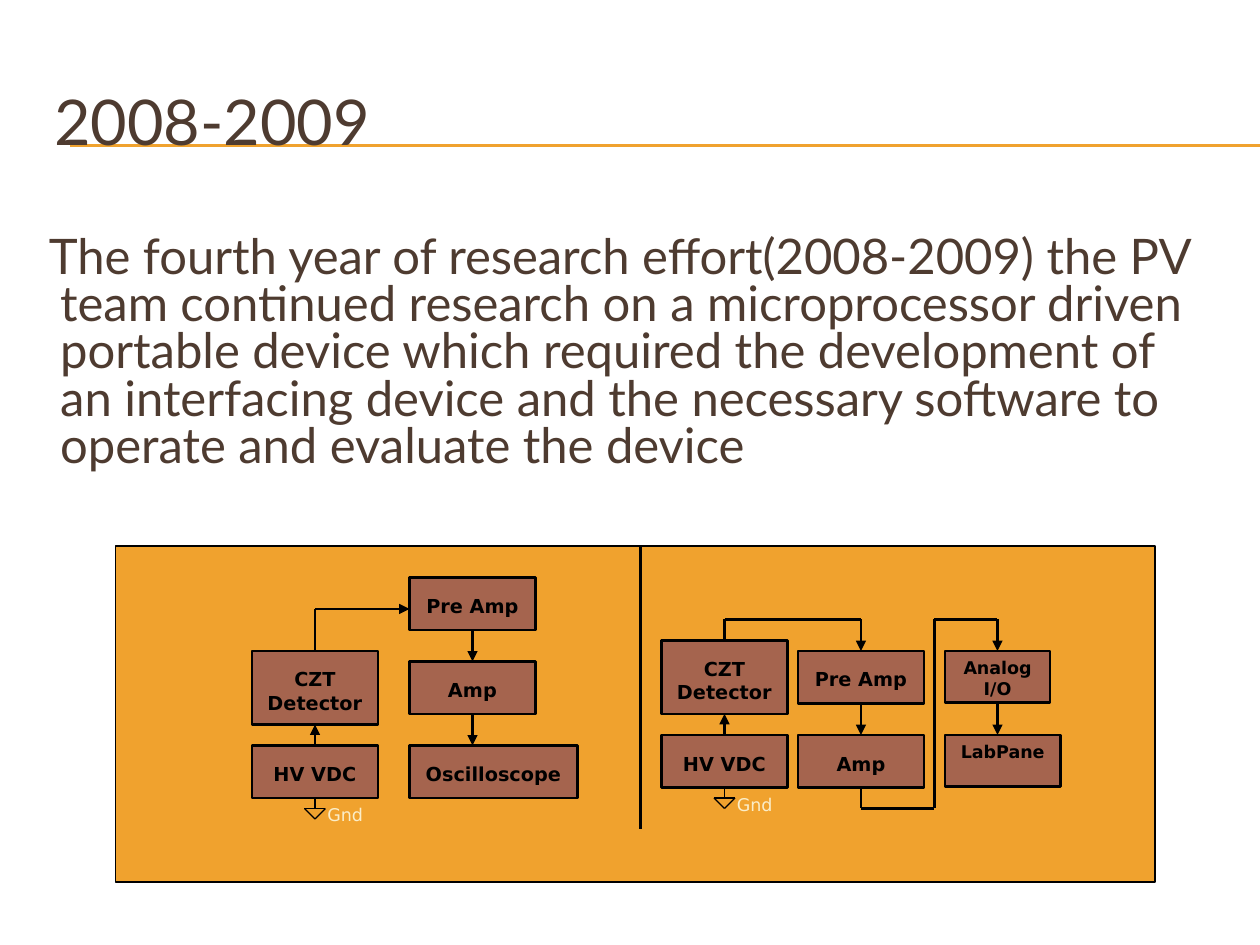
from dataclasses import dataclass
from itertools import pairwise

from lxml import etree
from pptx import Presentation
from pptx.dml.color import RGBColor
from pptx.enum.shapes import MSO_CONNECTOR, MSO_SHAPE
from pptx.enum.text import MSO_ANCHOR, PP_ALIGN
from pptx.oxml.ns import qn
from pptx.util import Inches, Pt

RECT = MSO_SHAPE.RECTANGLE
LINE = MSO_CONNECTOR.STRAIGHT
TOP, MIDDLE = MSO_ANCHOR.TOP, MSO_ANCHOR.MIDDLE
LEFT, CENTER = PP_ALIGN.LEFT, PP_ALIGN.CENTER
COLS, ROWS = 120, 90
WIDE, HIGH = Inches(10), Inches(7.5)


@dataclass(frozen=True)
class Theme:
    gold: str = "F0A22E"
    brick: str = "A5644E"
    brown: str = "4E3B30"
    cream: str = "FBEEC9"
    black: str = "000000"
    main: str = "Lato"
    label: str = "DejaVu Sans"
    title: int = 36
    body: int = 28
    block: int = 11
    small: int = 10
    thin: float = 0.75
    thick: float = 1.5


THEME = Theme()


def col(x):
    return round(WIDE * x / COLS)


def row(y):
    return round(HIGH * y / ROWS)


def place(x, y, w, h):
    return col(x), row(y), col(w), row(h)


def write(frame, text, size, font, tint, bold=False, align=LEFT, anchor=TOP):
    frame.word_wrap = True
    frame.vertical_anchor = anchor
    para = frame.paragraphs[0]
    para.alignment = align
    run = para.add_run()
    run.text = text
    run.font.size = Pt(size)
    run.font.name = font
    run.font.bold = bold
    run.font.color.rgb = RGBColor.from_string(tint)
    return para


def add_box(slide, box, fill, width):
    shape = slide.shapes.add_shape(RECT, *place(*box))
    shape.shadow.inherit = False
    shape.fill.solid()
    shape.fill.fore_color.rgb = RGBColor.from_string(fill)
    shape.line.color.rgb = RGBColor.from_string(THEME.black)
    shape.line.width = Pt(width)
    return shape


def add_wire(slide, points, width=THEME.thick, tint=THEME.black, arrow=False):
    for (x1, y1), (x2, y2) in pairwise(points):
        wire = slide.shapes.add_connector(LINE, col(x1), row(y1), col(x2), row(y2))
        wire.line.color.rgb = RGBColor.from_string(tint)
        wire.line.width = Pt(width)
        etree.SubElement(wire._element.spPr, qn("a:effectLst"))
    if arrow:
        etree.SubElement(wire.line._get_or_add_ln(), qn("a:tailEnd"), type="triangle")


def add_block(slide, box, text, size=THEME.block, drop=1):
    frame = add_box(slide, box, THEME.brick, THEME.thick).text_frame
    frame.margin_top = Inches(0.05) + row(drop)
    frame.margin_bottom = 0
    write(frame, text, size, THEME.label, THEME.black, True, CENTER)


def add_ground(slide, x, y):
    tip = (x, y + 2)
    add_wire(slide, [(x, y), (x, y + 1)], THEME.thin)
    add_wire(slide, [tip, (x - 1, y + 1), (x + 1, y + 1), tip], THEME.thin)
    note = slide.shapes.add_textbox(*place(x, y, 6, 3.2))
    write(note.text_frame, "Gnd", THEME.small, THEME.label, THEME.cream)


def add_source(slide, x, y):
    mid = x + 6
    add_block(slide, (x, y, 12, 7), "CZT Detector")
    add_block(slide, (x, y + 9, 12, 5), "HV VDC")
    add_wire(slide, [(mid, y + 9), (mid, y + 7)], arrow=True)
    add_ground(slide, mid, y + 14)


def add_title(slide, box):
    x, y, w, h = box
    for gap in (7.8, 7.92):
        add_wire(slide, [(x + 2.7, y + gap), (COLS, y + gap)], THEME.thin, THEME.gold)
    frame = slide.shapes.add_textbox(*place(*box)).text_frame
    write(frame, "2008-2009", THEME.title, THEME.main, THEME.brown, anchor=MIDDLE)


def add_body(slide, box):
    frame = slide.shapes.add_textbox(*place(*box)).text_frame
    text = (
        "The fourth year of research effort(2008-2009) the PV team continued "
        "research on a microprocessor driven portable device which required the "
        "development of an interfacing device and the necessary software to "
        "operate and evaluate the device"
    )
    para = write(frame, text, THEME.body, THEME.main, THEME.brown)
    para.line_spacing = 0.8
    props = para._p.get_or_add_pPr()
    props.set("marL", str(Inches(0.38)))
    props.set("indent", str(-Inches(0.09)))


def add_scope(slide, box):
    x, y, w, h = box
    add_source(slide, x, y + 7)
    step, right = 8, x + 15
    for i, (name, wide) in enumerate((("Pre Amp", 12), ("Amp", 12), ("Oscilloscope", 16))):
        top = y + i * step
        add_block(slide, (right, top, wide, 5), name)
        if i:
            add_wire(slide, [(right + 6, top - 3), (right + 6, top)], arrow=True)
    add_wire(slide, [(x + 6, y + 7), (x + 6, y + 3), (right, y + 3)], arrow=True)


def add_logger(slide, box):
    x, y, w, h = box
    amp, port = x + 13, x + 27
    upper, lower = y + 3, y + 11
    add_source(slide, x, y + 2)
    add_block(slide, (amp, upper, 12, 5), "Pre Amp")
    add_block(slide, (amp, lower, 12, 5), "Amp")
    add_block(slide, (port, upper, 10, 4.9), "Analog I/O", THEME.small, 0)
    add_block(slide, (port, lower, 11, 4.9), "LabPane", THEME.small, 0)
    for mid in (amp + 6, port + 5):
        add_wire(slide, [(mid, upper + 5), (mid, lower)], arrow=True)
    add_wire(slide, [(x + 6, y + 2), (x + 6, y), (amp + 6, y), (amp + 6, upper)], arrow=True)
    base = y + 18
    loop = [(amp + 6, lower + 5), (amp + 6, base), (port - 1, base),
            (port - 1, y), (port + 5, y), (port + 5, upper)]
    add_wire(slide, loop, arrow=True)


def add_panel(slide, box):
    x, y, w, h = box
    add_box(slide, box, THEME.gold, THEME.thin)
    add_scope(slide, (x + 13, y + 3, 31, 23))
    add_wire(slide, [(x + 50, y), (x + 50, y + 27)])
    add_logger(slide, (x + 52, y + 7, 38, 18))


def main():
    deck = Presentation()
    deck.slide_width, deck.slide_height = WIDE, HIGH
    slide = deck.slides.add_slide(deck.slide_layouts[6])
    add_title(slide, (4, 6, 114, 11))
    add_body(slide, (0, 22, 115, 31))
    add_panel(slide, (11, 52, 99, 32))
    deck.save("out.pptx")


if __name__ == "__main__":
    main()
